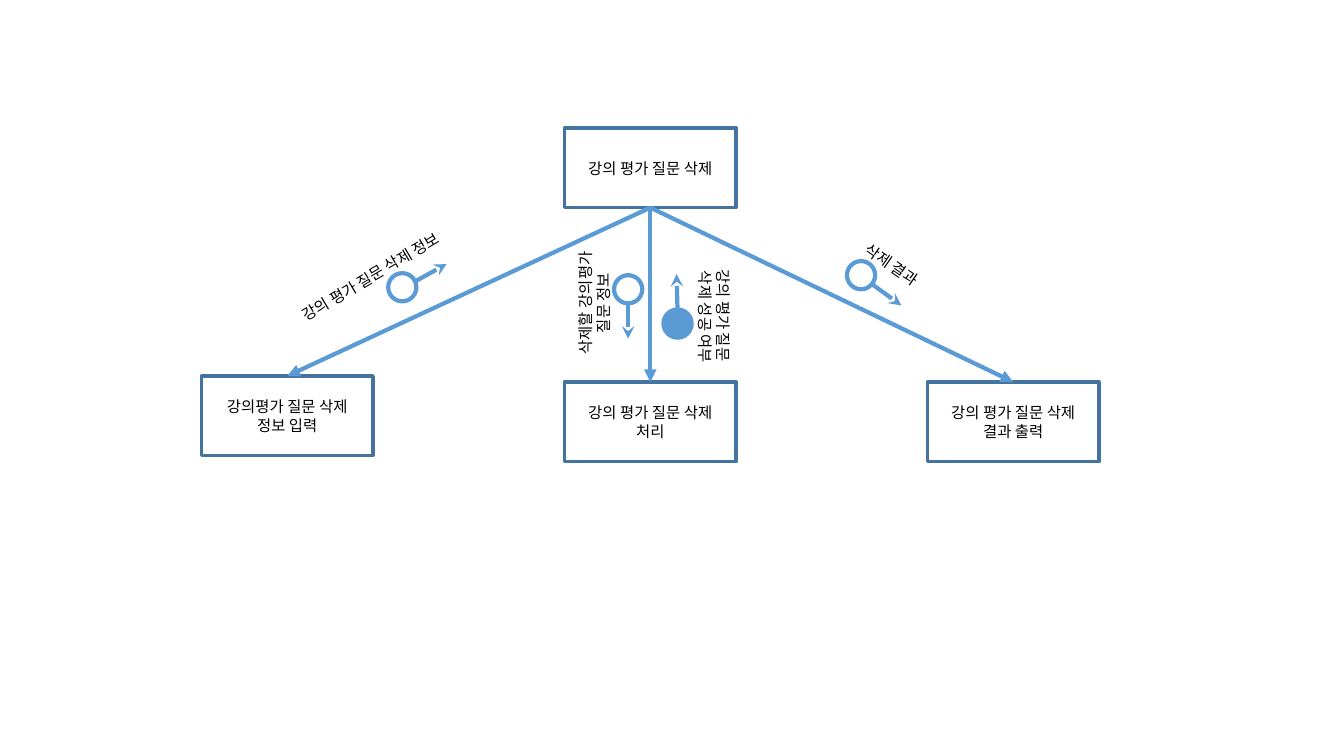
from pptx import Presentation
from pptx.dml.color import RGBColor
from pptx.enum.shapes import MSO_CONNECTOR, MSO_SHAPE
from pptx.enum.text import MSO_ANCHOR, MSO_AUTO_SIZE, PP_ALIGN
from pptx.oxml.ns import qn
from pptx.util import Inches, Pt
from lxml import etree

FONT, TEXT_SIZE = "Noto Sans CJK KR", 11
BLACK, BORDER, BLUE = "000000", "43739E", "5B9BD5"
BOX_W, BOX_H, CIRCLE = 1.7, 0.79, 0.28

# Module boxes: text, left, top
PARENT = ("강의 평가 질문 삭제", 5.6, 1.27)
CHILDREN = [
    ("강의평가 질문 삭제 정보 입력", 2.0, 3.73),
    ("강의 평가 질문 삭제 처리", 5.6, 3.79),
    ("강의 평가 질문 삭제 결과 출력", 9.2, 3.79),
]

# Data couples: circle corner, filled, arrow start and tip, label lines, label frame, rotation, wrap
COUPLES = [
    ((3.85, 2.71), False, (4.12, 2.79), (4.43, 2.62),
     ["강의 평가 질문 삭제 정보"], (2.77, 2.47, 2.26, 0.29), 329.3, True),
    ((6.09, 2.73), False, (6.23, 3.01), (6.23, 3.36),
     ["삭제할 강의평가", "질문 정보"], (5.23, 2.77, 1.34, 0.47), 270, False),
    ((6.58, 3.07), True, (6.72, 3.07), (6.71, 2.72),
     ["강의 평가 질문 ", "삭제 성공 여부"], (6.44, 2.91, 1.29, 0.47), 90, False),
    ((8.4, 2.59), False, (8.65, 2.82), (8.94, 3.03),
     ["삭제 결과"], (8.44, 2.5, 0.87, 0.29), 34.7, False),
]


def color(value):
    """Turn a hex string into a colour."""
    return RGBColor.from_string(value)


def write(frame, lines, align):
    """Fill a text frame with one paragraph per line."""
    for i, line in enumerate(lines):
        paragraph = frame.paragraphs[0] if i == 0 else frame.add_paragraph()
        paragraph.alignment = align
        run = paragraph.add_run()
        run.text = line
        run.font.size = Pt(TEXT_SIZE)
        run.font.name = FONT
        run.font.color.rgb = color(BLACK)
        etree.SubElement(run.font._element, qn("a:ea"), typeface=FONT)


def add_outline(slide, kind, frame, line, width, fill=None):
    """Add a preset shape with an outline and an optional fill."""
    shape = slide.shapes.add_shape(kind, *map(Inches, frame))
    shape.shadow.inherit = False
    shape.line.color.rgb = color(line)
    shape.line.width = Pt(width)
    if fill:
        shape.fill.solid()
        shape.fill.fore_color.rgb = color(fill)
    else:
        shape.fill.background()
    return shape


def add_box(slide, text, left, top):
    """Add a module box with its centred name."""
    box = add_outline(slide, MSO_SHAPE.RECTANGLE, (left, top, BOX_W, BOX_H), BORDER, 2.5)
    box.text_frame.word_wrap = True
    box.text_frame.vertical_anchor = MSO_ANCHOR.MIDDLE
    write(box.text_frame, [text], PP_ALIGN.CENTER)


def add_arrow(slide, start, tip, head):
    """Add a straight arrow from start to tip."""
    arrow = slide.shapes.add_connector(MSO_CONNECTOR.STRAIGHT, *map(Inches, start + tip))
    arrow.line.color.rgb = color(BLUE)
    arrow.line.width = Pt(3)
    etree.SubElement(arrow.line._get_or_add_ln(), qn("a:tailEnd"), type=head)
    etree.SubElement(arrow._element.spPr, qn("a:effectLst"))


def add_label(slide, lines, frame, rotation, wrap):
    """Add a rotated label, centred when it has several lines."""
    label = slide.shapes.add_textbox(*map(Inches, frame))
    label.rotation = rotation
    label.text_frame.word_wrap = wrap
    label.text_frame.auto_size = MSO_AUTO_SIZE.SHAPE_TO_FIT_TEXT
    write(label.text_frame, lines, PP_ALIGN.CENTER if len(lines) > 1 else PP_ALIGN.LEFT)


prs = Presentation()
prs.slide_width, prs.slide_height = Inches(13.33), Inches(7.5)
slide = prs.slides.add_slide(prs.slide_layouts[6])

for module in [PARENT, *CHILDREN]:
    add_box(slide, *module)

_, parent_left, parent_top = PARENT
for _, left, top in CHILDREN:
    add_arrow(slide, (parent_left + BOX_W / 2, parent_top + BOX_H),
              (left + BOX_W / 2, top), "triangle")

for corner, filled, start, tip, lines, frame, rotation, wrap in COUPLES:
    add_outline(slide, MSO_SHAPE.OVAL, corner + (CIRCLE, CIRCLE), BLUE, 3,
                BLUE if filled else None)
    add_arrow(slide, start, tip, "stealth")
    add_label(slide, lines, frame, rotation, wrap)

prs.save("out.pptx")
